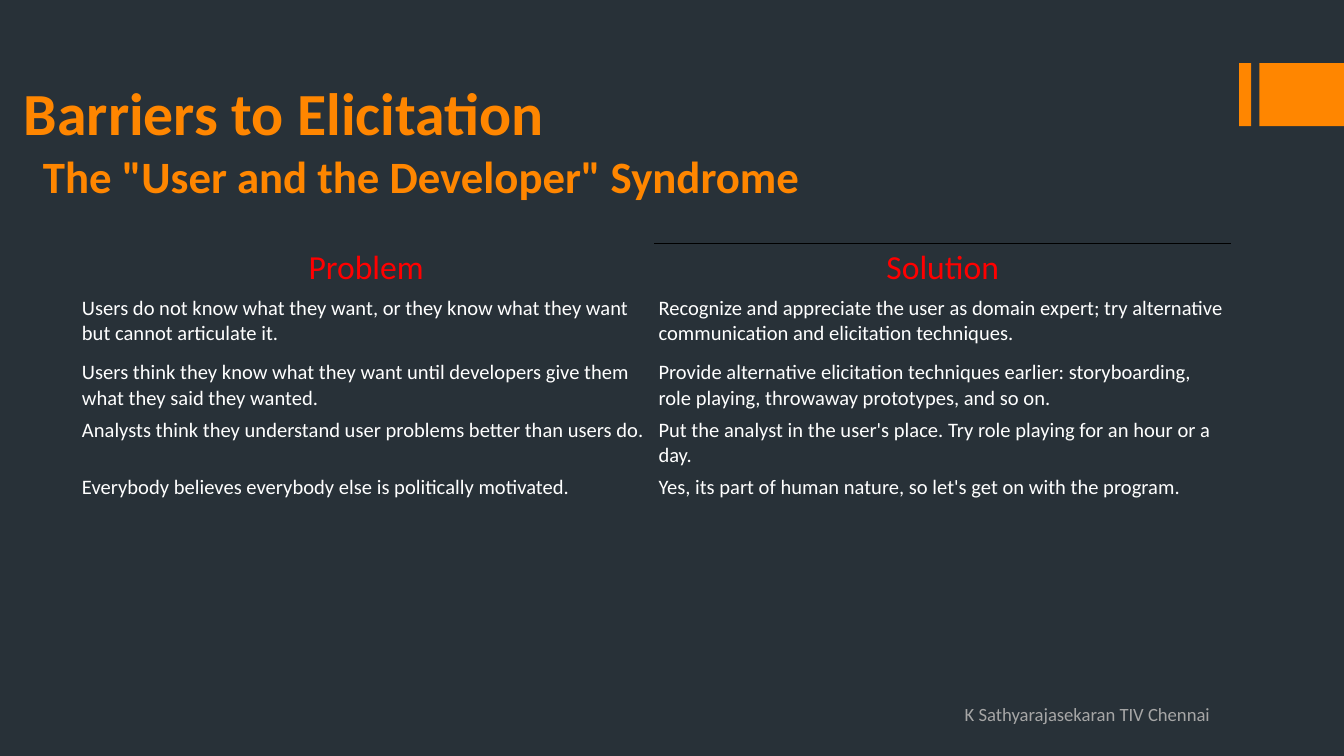
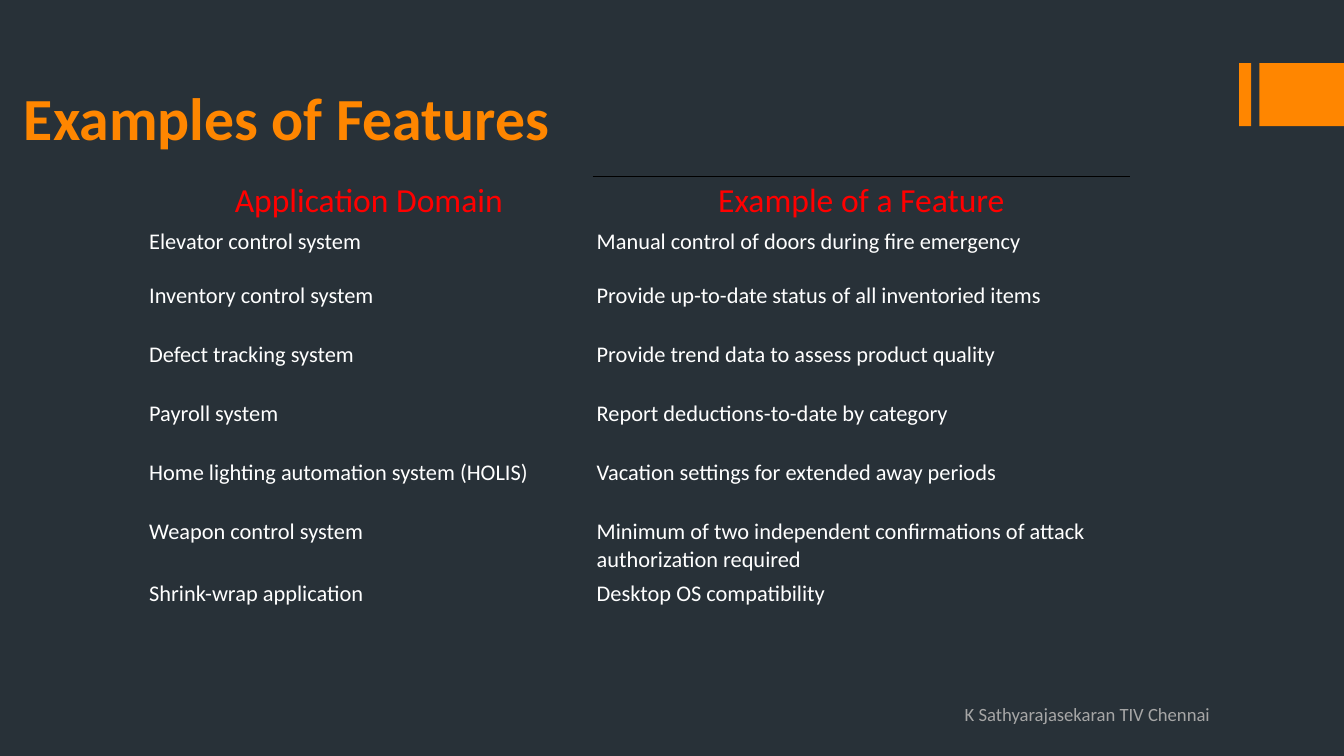
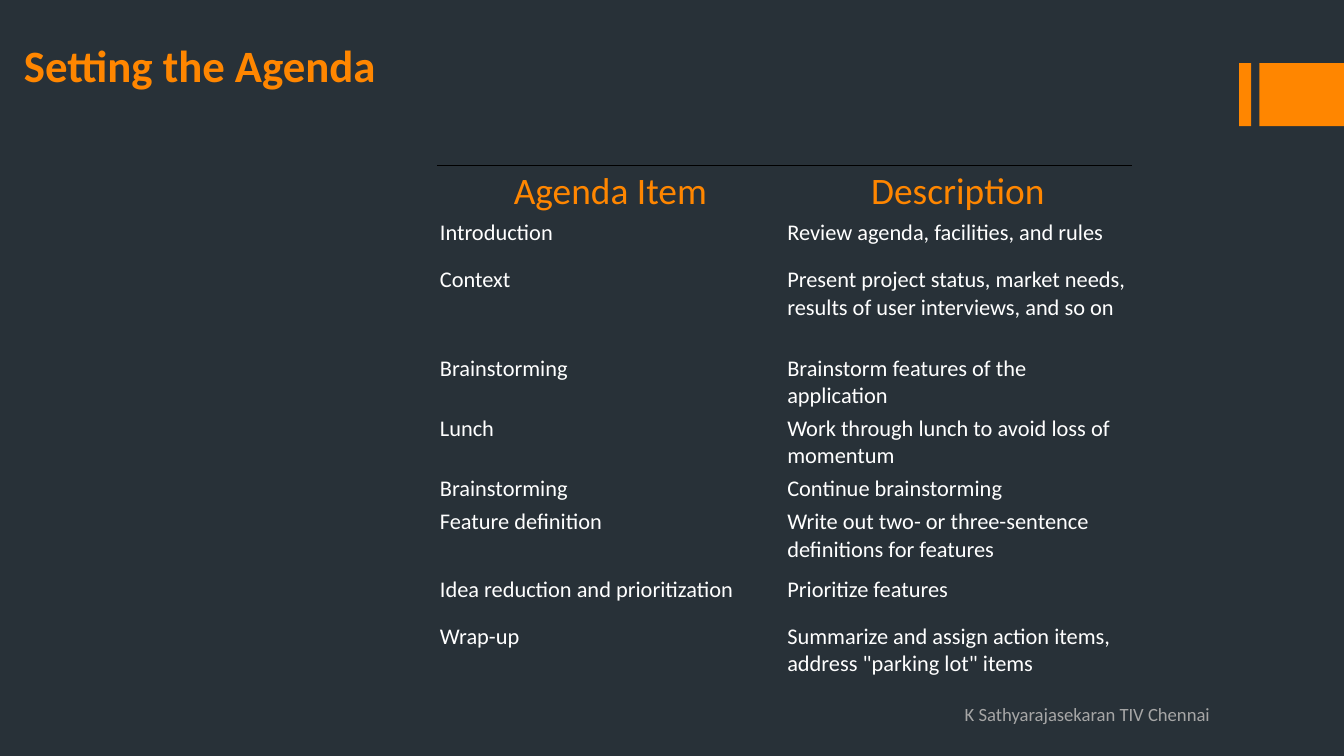
"""Build three requirements elicitation slides, each with a two-column table."""
from lxml import etree
from pptx import Presentation
from pptx.dml.color import RGBColor
from pptx.enum import shapes, text
from pptx.oxml import ns
from pptx.util import Inches, Pt

DARK = RGBColor(0x28, 0x31, 0x38)
ORANGE = RGBColor(0xFF, 0x86, 0x00)
RED = RGBColor(0xFF, 0x00, 0x00)
WHITE = RGBColor(0xFF, 0xFF, 0xFF)
GREY = RGBColor(0xA6, 0xA6, 0xA6)
BLACK = RGBColor(0x00, 0x00, 0x00)
FONT = "Calibri"
PLAIN = "{2D5ABB26-0587-4C30-8999-92F81FD0307C}"
TOP, BOTTOM = text.MSO_ANCHOR.TOP, text.MSO_ANCHOR.BOTTOM
LEFT, CENTER = text.PP_ALIGN.LEFT, text.PP_ALIGN.CENTER

PAGES = [
    {
        "title": "Barriers to Elicitation", "box": (0.08, 0.15, 9.5, 1), "size": 32,
        "sub": "The \"User and the Developer\" Syndrome",
        "at": (0.58, 1.81), "cols": [4.29, 4.29],
        "heights": [0.27, 0.48, 0.42, 0.42, 0.33],
        "inset": 0.03, "head": (18, RED), "body": 11, "ruled": [1], "rule": 0.5,
        "rows": [
            ("Problem", "Solution"),
            ("Users do not know what they want, or they know what they want "
             "but cannot articulate it.",
             "Recognize and appreciate the user as domain expert; try alternative "
             "communication and elicitation techniques."),
            ("Users think they know what they want until developers give them "
             "what they said they wanted.",
             "Provide alternative elicitation techniques earlier: storyboarding, "
             "role playing, throwaway prototypes, and so on."),
            ("Analysts think they understand user problems better than users do.",
             "Put the analyst in the user's place. Try role playing for an hour or a day."),
            ("Everybody believes everybody else is politically motivated.",
             "Yes, its part of human nature, so let's get on with the program."),
        ],
    },
    {
        "title": "Examples of Features", "box": (0.08, 0.23, 9.5, 0.95), "size": 32,
        "at": (1.08, 1.31), "cols": [3.33, 4],
        "heights": [0.25, 0.4, 0.44, 0.44, 0.44, 0.44, 0.4, 0.25],
        "inset": 0.03, "head": (18, RED), "body": 12, "ruled": [1], "rule": 0.5,
        "rows": [
            ("Application Domain", "Example of a Feature"),
            ("Elevator control system", "Manual control of doors during fire emergency"),
            ("Inventory control system", "Provide up-to-date status of all inventoried items"),
            ("Defect tracking system", "Provide trend data to assess product quality"),
            ("Payroll system", "Report deductions-to-date by category"),
            ("Home lighting automation system (HOLIS)",
             "Vacation settings for extended away periods"),
            ("Weapon control system",
             "Minimum of two independent confirmations of attack authorization required"),
            ("Shrink-wrap application", "Desktop OS compatibility"),
        ],
    },
    {
        "title": "Setting the Agenda", "box": (0.08, 0.23, 9.17, 0.5), "size": 24,
        "at": (3.25, 1.23), "cols": [5.17 / 2] * 2,
        "heights": [0.2, 0.35, 0.66, 0.35, 0.35, 0.2, 0.5, 0.35, 0.5],
        "inset": 0.07 / 3, "head": (20, ORANGE), "body": 12, "ruled": [0, 1], "rule": 1,
        "rows": [
            ("Agenda Item", "Description"),
            ("Introduction", "Review agenda, facilities, and rules"),
            ("Context", "Present project status, market needs, "
             "results of user interviews, and so on"),
            ("Brainstorming", "Brainstorm features of the application"),
            ("Lunch", "Work through lunch to avoid loss of momentum"),
            ("Brainstorming", "Continue brainstorming"),
            ("Feature definition", "Write out two- or three-sentence definitions for features"),
            ("Idea reduction and prioritization", "Prioritize features"),
            ("Wrap-up", "Summarize and assign action items, address \"parking lot\" items"),
        ],
    },
]


def write(frame, words, size, color, bold=False, align=LEFT):
    para = frame.paragraphs[0]
    para.alignment = align
    run = para.add_run()
    run.text = words
    for key, value in {"name": FONT, "size": Pt(size), "bold": bold}.items():
        setattr(run.font, key, value)
    run.font.color.rgb = color


def label(slide, box, words, size, color, bold=False, **form):
    frame = slide.shapes.add_textbox(*map(Inches, box)).text_frame
    for key, value in {"word_wrap": True, **form}.items():
        setattr(frame, key, value)
    write(frame, words, size, color, bold)


deck = Presentation()
deck.slide_width = Inches(10)
deck.slide_height = deck.slide_width * 9 // 16

for page in PAGES:
    slide = deck.slides.add_slide(deck.slide_layouts[6])
    slide.background.fill.solid()
    slide.background.fill.fore_color.rgb = DARK

    for left, width in [(9.22, 0.09), (9.37, 0.63)]:
        band = slide.shapes.add_shape(
            shapes.MSO_SHAPE.RECTANGLE, *map(Inches, (left, 0.47, width, 0.47)))
        band.shadow.inherit = False
        band.fill.solid()
        band.fill.fore_color.rgb = ORANGE
        band.line.fill.background()

    label(slide, page["box"], page["title"], page["size"], ORANGE, True,
          vertical_anchor=BOTTOM)
    if "sub" in page:
        label(slide, (0.17, 1.06, 9.33, 3.96), page["sub"], 24, ORANGE, True,
              vertical_anchor=TOP, margin_left=Inches(0.15))
    label(slide, (7.08, 5.23, 2.46, 0.25), "K Sathyarajasekaran TIV Chennai", 10, GREY,
          margin_top=0)

    rows, cols, heights = page["rows"], page["cols"], page["heights"]
    size = sum(cols), sum(heights)
    holder = slide.shapes.add_table(
        len(rows), len(cols), *map(Inches, page["at"] + size))
    grid = holder.table
    grid.horz_banding = grid.first_row = False
    holder._element.find(".//" + ns.qn("a:tableStyleId")).text = PLAIN
    for col, width in zip(grid.columns, cols):
        col.width = Inches(width)

    for r, (row, height) in enumerate(zip(rows, heights)):
        grid.rows[r].height = Inches(height)
        for c, words in enumerate(row):
            cell = grid.cell(r, c)
            for side in ("left", "top", "right", "bottom"):
                setattr(cell, "margin_" + side, Inches(page["inset"]))
            if r == 0:
                write(cell.text_frame, words, *page["head"], align=CENTER)
            else:
                write(cell.text_frame, words, page["body"], WHITE)
            if r == 0 and c in page["ruled"]:
                props = cell._tc.get_or_add_tcPr()
                edge = etree.SubElement(props, ns.qn("a:lnT"), w=str(Pt(page["rule"])))
                paint = etree.SubElement(edge, ns.qn("a:solidFill"))
                etree.SubElement(paint, ns.qn("a:srgbClr"), val=str(BLACK))
            cell.fill.background()

deck.save("out.pptx")
